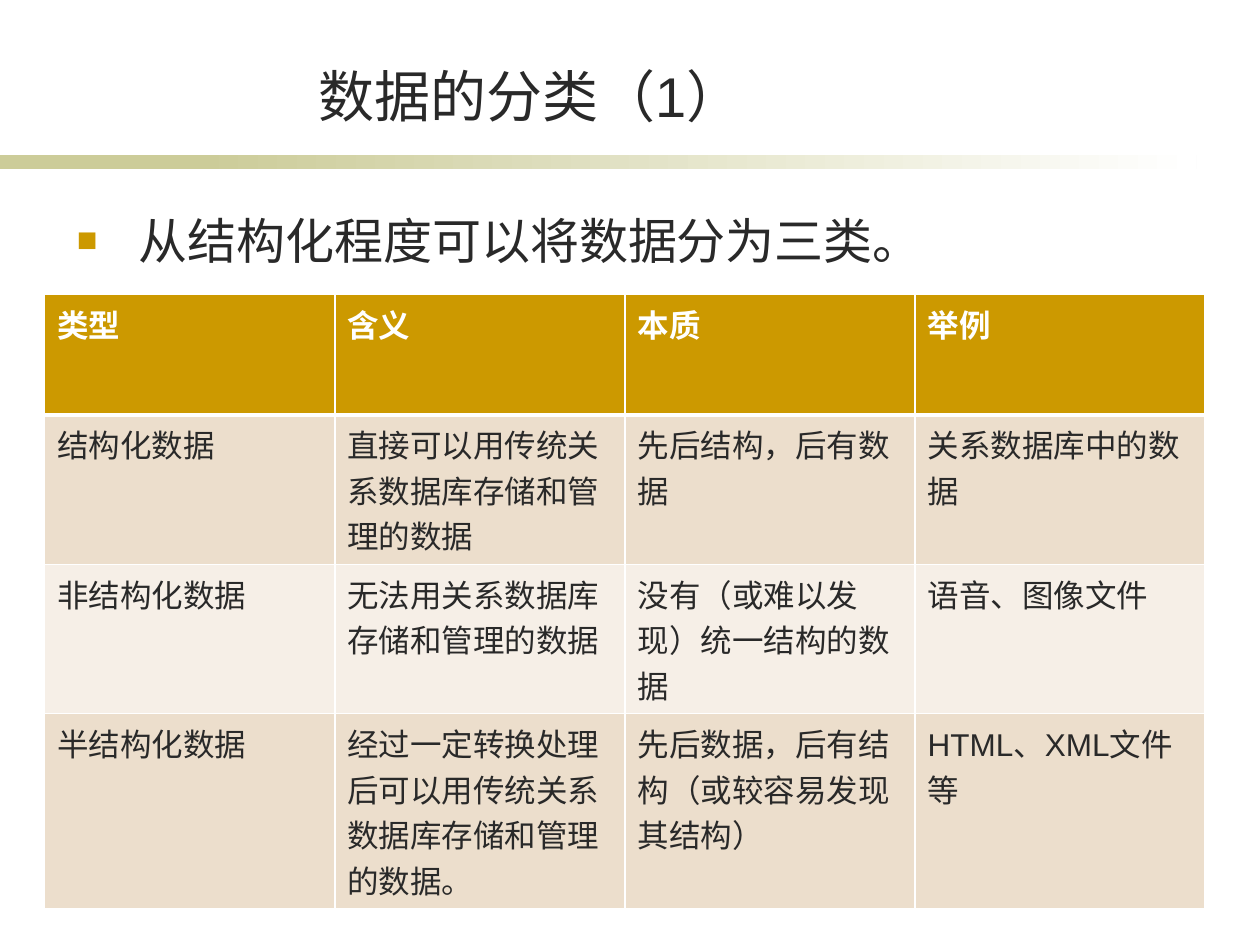
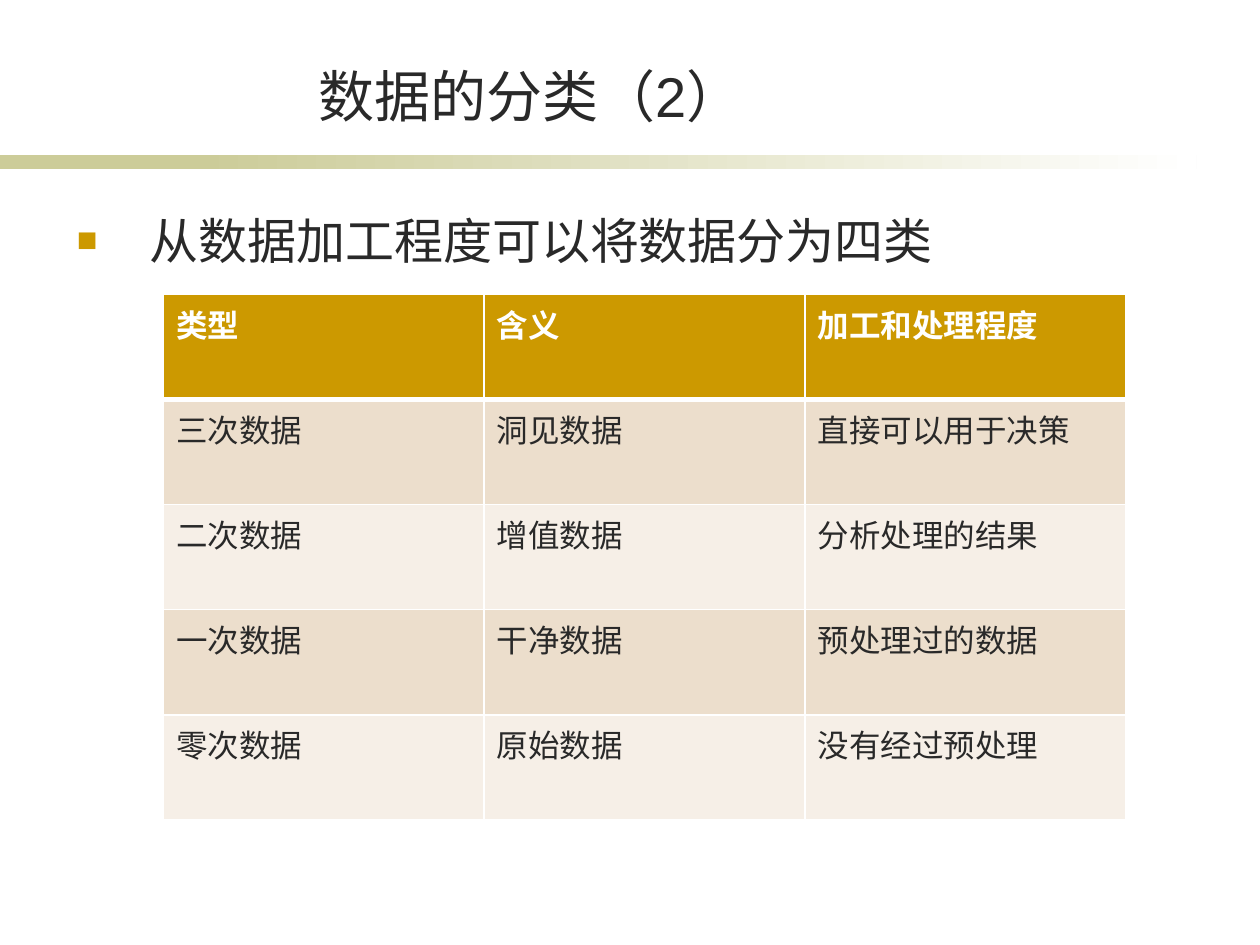
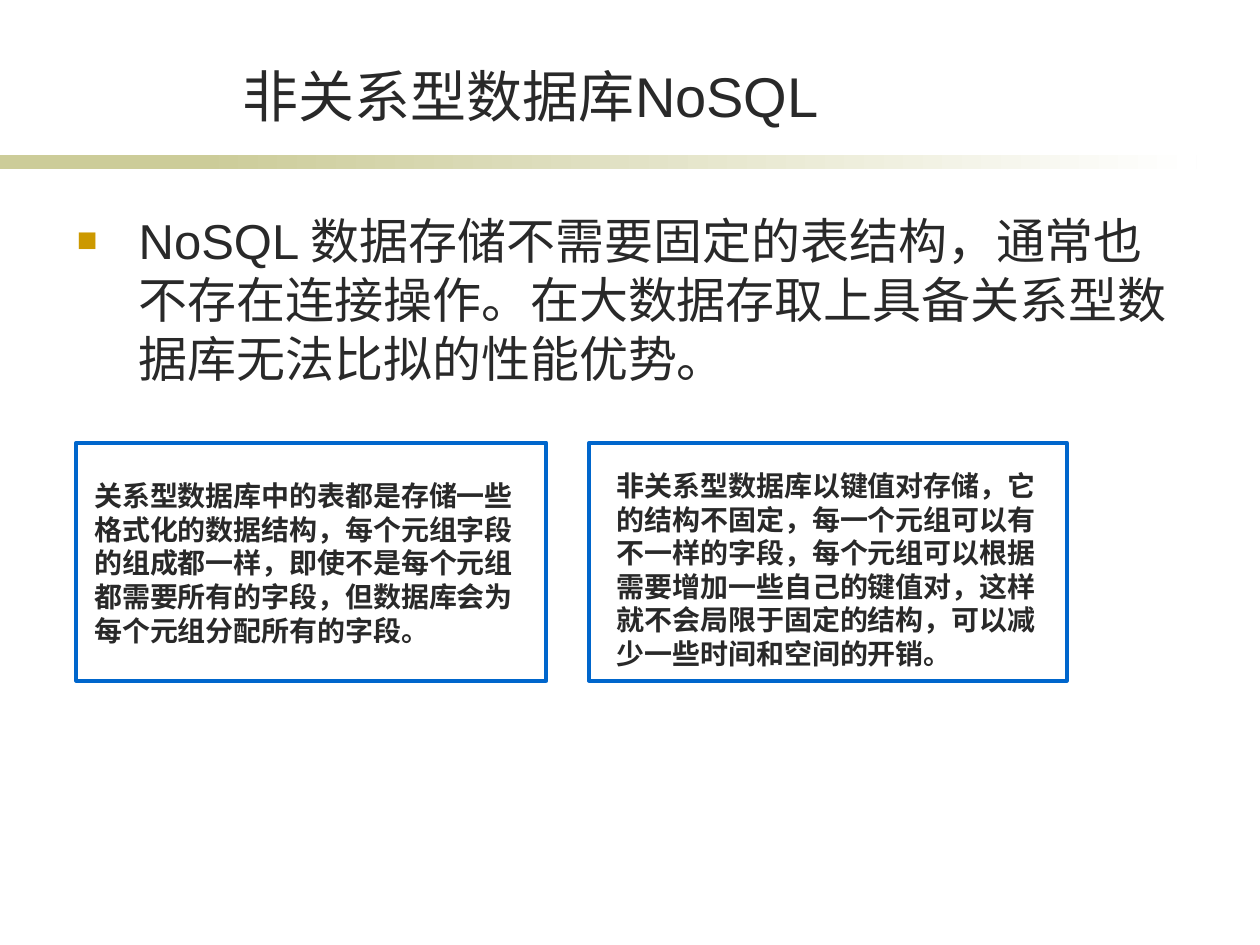
from lxml.etree import SubElement
from pptx import Presentation
from pptx.dml.color import RGBColor
from pptx.enum.lang import MSO_LANGUAGE_ID as LANG
from pptx.enum.shapes import MSO_SHAPE as SHAPE
from pptx.enum.text import MSO_ANCHOR as ANCHOR, MSO_AUTO_SIZE as FIT, PP_ALIGN as ALIGN
from pptx.oxml.ns import qn
from pptx.util import Pt

INK, GOLD, OLIVE, WHITE, BLUE = "292929", "CC9900", "CCCC99", "FFFFFF", "0066CC"
ROW_FILLS = ("ECDECC", "F6EFE7")
LATIN, CJK = "Arial", "Noto Sans CJK SC"


def rgb(value):
    return RGBColor.from_string(value)


def pts(*values):
    return [Pt(v) for v in values]


def assign(obj, values):
    for name, value in values.items():
        setattr(obj, name, value)


def write(p, text, size, color=INK, bold=False, font=LATIN):
    r = p.add_run()
    r.text = text
    assign(r.font, dict(size=Pt(size), bold=bold, name=font,
                        language_id=LANG.SIMPLIFIED_CHINESE))
    r.font.color.rgb = rgb(color)
    latin = r.font._element.find(qn("a:latin"))
    ea = latin.makeelement(qn("a:ea"), {"typeface": CJK})
    latin.addnext(ea)


def add_bullet(p, hang):
    pPr = p._p.get_or_add_pPr()
    pPr.set("marL", str(Pt(hang)))
    pPr.set("indent", str(-Pt(hang)))
    color = SubElement(pPr, qn("a:buClr"))
    SubElement(color, qn("a:srgbClr"), val=GOLD)
    SubElement(pPr, qn("a:buSzPct"), val="70000")
    SubElement(pPr, qn("a:buFont"), typeface=LATIN)
    SubElement(pPr, qn("a:buChar"), char="■")


def add_borders(cell, **widths):
    """Draw white lines; keys are the sides L, R, T and B, in that order."""
    tcPr = cell._tc.get_or_add_tcPr()
    for side, width in widths.items():
        ln = SubElement(tcPr, qn(f"a:ln{side}"), w=str(Pt(width)))
        fill = SubElement(ln, qn("a:solidFill"))
        SubElement(fill, qn("a:srgbClr"), val=WHITE)


class Deck:
    def __init__(self):
        self.prs = Presentation()
        assign(self.prs, dict(slide_width=Pt(720), slide_height=Pt(540)))
        self.layout = self.prs.slide_layouts[1]
        self.slide = None

    def add_slide(self, title, point, body_height=345.6):
        self.slide = self.prs.slides.add_slide(self.layout)
        if len(self.prs.slides) == 1:
            self.add_bands()
        self.add_title(title)
        self.add_point(point, body_height)

    def add_bands(self):
        """Draw the rule under the title and move it to the shared layout."""
        solid = self.rect(self.slide.shapes, 0, 88.6, 168, 7.9)
        solid.fill.solid()
        solid.fill.fore_color.rgb = rgb(OLIVE)
        fade = self.rect(self.slide.shapes, 113.8, 88.6, 570, 7.9)
        fade.fill.gradient()
        fade.fill.gradient_angle = 0
        for stop, color, position in zip(fade.fill.gradient_stops, (OLIVE, WHITE), (0, 1)):
            stop.color.rgb = rgb(color)
            stop.position = position
        for i, s in enumerate((solid, fade)):
            s.element.xpath(".//p:cNvPr")[0].set("id", str(20 + i))
            self.layout.shapes.element.insert(2 + i, s.element)

    def rect(self, shapes, x, y, w, h):
        s = shapes.add_shape(SHAPE.RECTANGLE, *pts(x, y, w, h))
        s.shadow.inherit = False
        s.line.fill.background()
        return s

    def place(self, s, x, y, w, h):
        assign(s, dict(zip(("left", "top", "width", "height"), pts(x, y, w, h))))
        return s.text_frame

    def add_title(self, text):
        tf = self.place(self.slide.shapes.title, 82.3, 31.7, 442, 45.4)
        assign(tf, dict(vertical_anchor=ANCHOR.BOTTOM, auto_size=FIT.NONE))
        p = tf.paragraphs[0]
        p.alignment = ALIGN.CENTER
        write(p, text, 32)

    def add_point(self, text, height):
        tf = self.place(self.slide.placeholders[1], 36.8, 116.6, 641, height)
        tf.auto_size = FIT.NONE
        p = tf.paragraphs[0]
        p.space_before = Pt(0)
        add_bullet(p, 35.3)
        write(p, text, 28)

    def add_table(self, x, y, col_width, heights, rows):
        box = pts(x, y, col_width * len(rows[0]), sum(heights))
        table = self.slide.shapes.add_table(len(rows), len(rows[0]), *box).table
        for col in table.columns:
            col.width = Pt(col_width)
        for i, (row, height) in enumerate(zip(rows, heights)):
            table.rows[i].height = Pt(height)
            head = i == 0
            for j, text in enumerate(row):
                cell = table.cell(i, j)
                add_borders(cell, L=1, R=1, T=3 if i == 1 else 1, B=3 if head else 1)
                cell.fill.solid()
                cell.fill.fore_color.rgb = rgb(GOLD if head else ROW_FILLS[(i - 1) % 2])
                write(cell.text_frame.paragraphs[0], text, 18, WHITE if head else INK, head)

    def add_framed_text(self, frame, text_box, text):
        shapes = self.slide.shapes.add_group_shape().shapes
        s = self.rect(shapes, *frame)
        s.fill.background()
        s.line.color.rgb = rgb(BLUE)
        s.line.width = Pt(2.25)
        tf = shapes.add_textbox(*pts(*text_box)).text_frame
        assign(tf, dict(word_wrap=True, auto_size=FIT.SHAPE_TO_FIT_TEXT))
        write(tf.paragraphs[0], text, 16, bold=True, font=CJK)


def main():
    deck = Deck()

    deck.add_slide("数据的分类（1）", "从结构化程度可以将数据分为三类。")
    deck.add_table(25.5, 168.1, 165.8, (69, 72, 69, 93.6), [
        ("类型", "含义", "本质", "举例"),
        ("结构化数据", "直接可以用传统关系数据库存储和管理的数据",
         "先后结构，后有数据", "关系数据库中的数据"),
        ("非结构化数据", "无法用关系数据库存储和管理的数据",
         "没有（或难以发现）统一结构的数据", "语音、图像文件"),
        ("半结构化数据", "经过一定转换处理后可以用传统关系数据库存储和管理的数据。",
         "先后数据，后有结构（或较容易发现其结构）", "HTML、XML文件等"),
    ])

    deck.add_slide("数据的分类（2）", " 从数据加工程度可以将数据分为四类")
    deck.add_table(93.4, 168.1, 183.3, [60.1] * 5, [
        ("类型", "含义", "加工和处理程度"),
        ("三次数据", "洞见数据", "直接可以用于决策"),
        ("二次数据", "增值数据", "分析处理的结果"),
        ("一次数据", "干净数据", "预处理过的数据"),
        ("零次数据", "原始数据", "没有经过预处理"),
    ])

    deck.add_slide("非关系型数据库NoSQL",
                   "NoSQL 数据存储不需要固定的表结构，通常也不存在连接操作。"
                   "在大数据存取上具备关系型数据库无法比拟的性能优势。", 118.8)
    deck.add_framed_text(
        (43.6, 253, 268.6, 136), (46.8, 270, 255.6, 104.4),
        "关系型数据库中的表都是存储一些格式化的数据结构，每个元组字段的组成都一样，"
        "即使不是每个元组都需要所有的字段，但数据库会为每个元组分配所有的字段。")
    deck.add_framed_text(
        (336.6, 253, 272.9, 136), (345.4, 264.2, 255.6, 123.8),
        "非关系型数据库以键值对存储，它的结构不固定，每一个元组可以有不一样的字段，"
        "每个元组可以根据需要增加一些自己的键值对，这样就不会局限于固定的结构，"
        "可以减少一些时间和空间的开销。")

    deck.prs.save("out.pptx")


if __name__ == "__main__":
    main()
